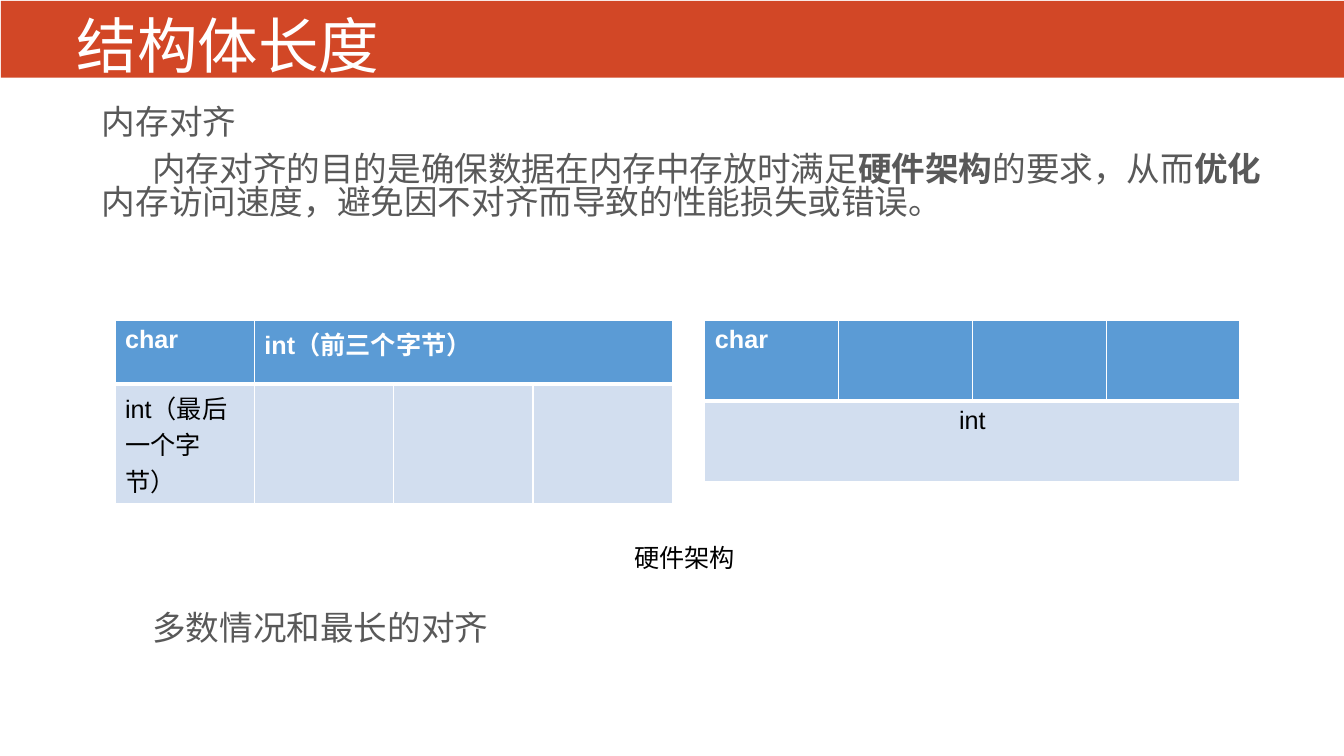
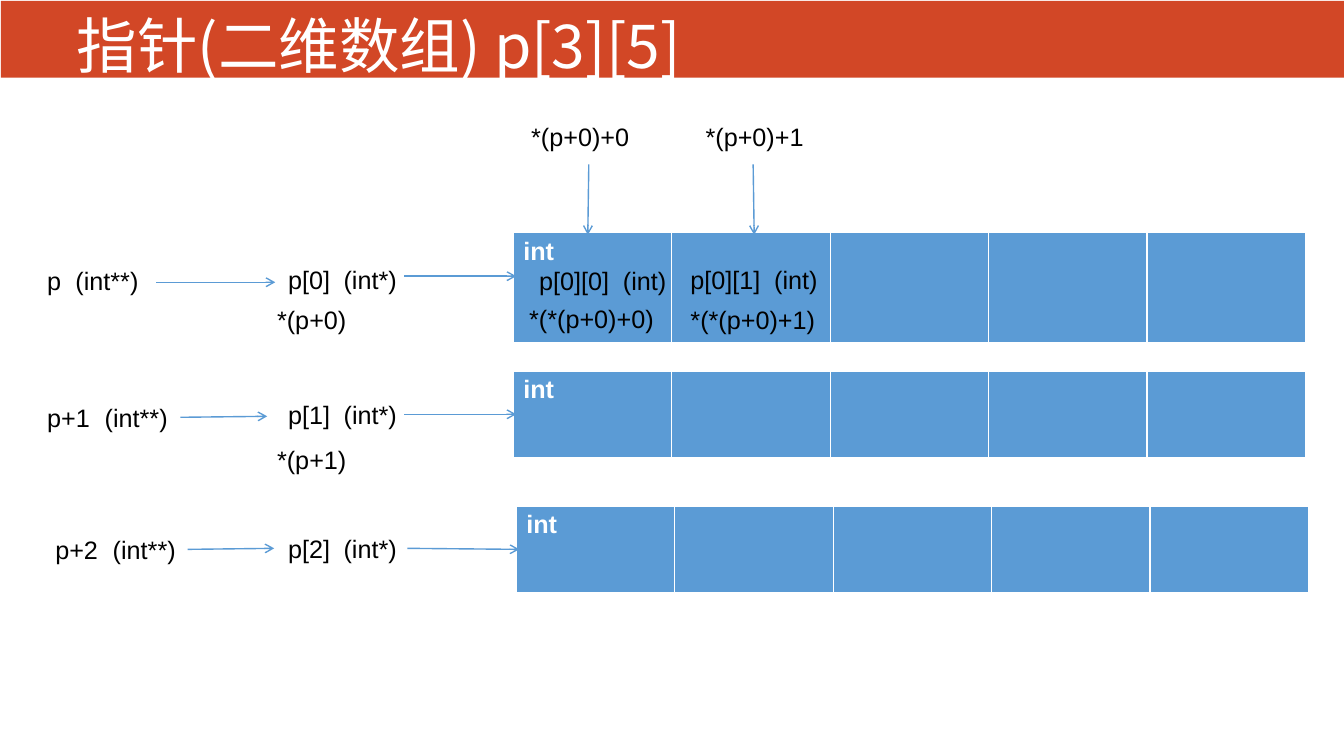
from lxml.etree import SubElement
from pptx import Presentation
from pptx.dml.color import RGBColor
from pptx.enum.shapes import MSO_CONNECTOR, MSO_SHAPE
from pptx.enum.text import MSO_ANCHOR, MSO_AUTO_SIZE, PP_ALIGN
from pptx.oxml.ns import qn
from pptx.util import Inches, Pt

COLORS = {"band": "D24726", "white": "FFFFFF", "black": "000000",
          "gray": "595959", "blue": "5B9BD5", "pale": "D2DEEF"}
CJK_FONT = "Noto Sans CJK SC"

ALIGNMENT_TITLE = "结构体长度"
# Each paragraph: first-line indent, space before, runs of (text, bold)
ALIGNMENT_BODY = [
    (0, 0, [("内存对齐", False)]),
    (0.5, 5, [("内存对齐的目的是确保数据在内存中存放时满足", False),
              ("硬件架构", True), ("的要求，从而", False), ("优化", True),
              ("内存访问速度，避免因不对齐而导致的性能损失或错误。", False)]),
    (0.5, 276, [("多数情况和最长的对齐", False)]),
]
# Cells are (text, columns spanned)
MEMORY_TABLES = [
    {"place": (1.14, 3.18, 5.53), "heights": [0.63, 0.96],
     "rows": [[("char", 1), ("int（前三个字节）", 3)],
              [("int（最后一个字节）", 1), ("", 1), ("", 1), ("", 1)]]},
    {"place": (6.99, 3.18, 5.31), "heights": [0.8, 0.8],
     "rows": [[("char", 1), ("", 1), ("", 1), ("", 1)], [("int", 4)]]},
]
HARDWARE_LABEL = ("硬件架构", 6.19, 5.33, 1.34)

POINTER_TITLE = "指针(二维数组) p[3][5]"
ARRAY_ROWS = [(5.09, 2.31, 1.1), (5.09, 3.68, 0.87), (5.12, 5.02, 0.87)]
ARRAY_WIDTH = 7.86
ARRAY_CELLS = [("int", 1)] + [("", 1)] * 4
# Text, left, top, width; a tab separates expression and type
POINTER_LABELS = [
    ("p\t(int**)", 0.37, 2.58, 4.44),
    ("p+1\t(int**)", 0.37, 3.94, 4.44),
    ("p+2\t(int**)", 0.45, 5.25, 4.44),
    ("p[0]\t(int*)", 2.76, 2.57, 4.44),
    ("p[1]\t(int*)", 2.76, 3.91, 5.08),
    ("p[2]\t(int*)", 2.76, 5.24, 5.1),
    ("*(p+0)", 2.65, 2.97, 4.44),
    ("*(p+1)", 2.65, 4.36, 4.44),
    ("*(p+0)+0", 5.17, 1.15, 4.44),
    ("*(p+0)+1", 6.9, 1.15, 4.44),
    ("p[0][0]\t(int)", 5.25, 2.58, 4.6),
    ("p[0][1]\t(int)", 6.75, 2.57, 4.6),
    ("*(*(p+0)+0)", 5.15, 2.96, 4.44),
    ("*(*(p+0)+1)", 6.75, 2.97, 4.44),
]
# Tab stop by length of the expression before the tab
TYPE_STOPS = {1: 0.28, 3: 0.57, 4: 0.55, 7: 0.83}
ARROWS = [
    (1.55, 2.8, 2.73, 2.8), (1.79, 4.14, 2.65, 4.13), (1.86, 5.45, 2.72, 5.44),
    (4.01, 2.74, 5.12, 2.74), (4.01, 4.11, 5.12, 4.11), (4.04, 5.44, 5.15, 5.45),
    (5.84, 1.63, 5.83, 2.33), (7.47, 1.63, 7.48, 2.33),
]


def rgb(name):
    return RGBColor.from_string(COLORS[name])


def place(shape, left, top, width, height):
    shape.left, shape.top = Inches(left), Inches(top)
    shape.width, shape.height = Inches(width), Inches(height)


def add_text(para, text, size=18, color="black", bold=False, face="Arial"):
    span = para.add_run()
    span.text = text
    span.font.size, span.font.bold, span.font.name = Pt(size), bold, face
    span.font.color.rgb = rgb(color)
    SubElement(span.font._element, qn("a:ea"), typeface=CJK_FONT)


def style_master(deck):
    """Put the title band and the title's place on the master."""
    master = deck.slide_master
    title = next(item for item in master.placeholders if item.placeholder_format.idx == 0)
    place(title, 0.66, 0.01, 11.76, 0.8)
    frame = title.text_frame
    frame.vertical_anchor = MSO_ANCHOR.BOTTOM
    frame.margin_top = frame.margin_bottom = 0
    return master


def add_band(slide, master):
    """Draw the band, then hand it to the master so every slide shows it."""
    band = slide.shapes.add_shape(MSO_SHAPE.RECTANGLE, Inches(0.01), Inches(0.01),
                                  Inches(13.33), Inches(0.76))
    band.shadow.inherit = False
    band.fill.solid()
    band.fill.fore_color.rgb = rgb("band")
    band.line.fill.background()
    master.shapes.element.insert(2, band.element)


def add_slide(deck, layout, title):
    slide = deck.slides.add_slide(deck.slide_layouts.get_by_name(layout))
    para = slide.shapes.title.text_frame.paragraphs[0]
    para.alignment, para.line_spacing = PP_ALIGN.LEFT, 0.9
    add_text(para, title, size=43.2, color="white", face=CJK_FONT)
    return slide


def add_label(slide, text, left, top, width):
    box = slide.shapes.add_textbox(Inches(left), Inches(top), Inches(width), Inches(0.4))
    frame = box.text_frame
    frame.word_wrap = True
    frame.auto_size = MSO_AUTO_SIZE.SHAPE_TO_FIT_TEXT
    para = frame.paragraphs[0]
    expression, tab, _ = text.partition("\t")
    if tab:
        stops = SubElement(para._p.get_or_add_pPr(), qn("a:tabLst"))
        SubElement(stops, qn("a:tab"), pos=str(Inches(TYPE_STOPS[len(expression)])), algn="l")
    add_text(para, text)


def add_arrow(slide, *ends):
    arrow = slide.shapes.add_connector(MSO_CONNECTOR.STRAIGHT, *map(Inches, ends))
    arrow.line.color.rgb = rgb("blue")
    arrow.line.width = Pt(1)
    SubElement(arrow.line._get_or_add_ln(), qn("a:tailEnd"), type="arrow")
    SubElement(arrow.element.spPr, qn("a:effectLst"))


def style_cell(cell, fill, bottom_width):
    cell.fill.solid()
    cell.fill.fore_color.rgb = rgb(fill)
    properties = cell._tc.get_or_add_tcPr()
    for index, side in enumerate(("lnL", "lnR", "lnT", "lnB")):
        width = bottom_width if side == "lnB" else 1
        line = SubElement(properties, qn(f"a:{side}"), w=str(Pt(width)))
        paint = SubElement(line, qn("a:solidFill"))
        SubElement(paint, qn("a:srgbClr"), val=COLORS["white"])
        properties.insert(index, line)


def add_memory_table(slide, left, top, width, heights, rows):
    """Draw a blue header row and, below it, pale rows."""
    columns = sum(span for _, span in rows[0])
    table = slide.shapes.add_table(len(rows), columns, Inches(left), Inches(top),
                                   Inches(width), Inches(sum(heights))).table
    for column in table.columns:
        column.width = Inches(width / columns)
    for row, (height, cells) in enumerate(zip(heights, rows)):
        table.rows[row].height = Inches(height)
        header = row == 0
        for column in range(columns):
            style_cell(table.cell(row, column), "blue" if header else "pale",
                       3 if header else 1)
        column = 0
        for text, span in cells:
            cell = table.cell(row, column)
            if span > 1:
                cell.merge(table.cell(row, column + span - 1))
            if text:
                para = cell.text_frame.paragraphs[0]
                if span == columns:
                    para.alignment = PP_ALIGN.CENTER
                add_text(para, text, color="white" if header else "black", bold=header)
            column += span


def fill_body(body):
    place(body, 0.41, 1.02, 12.51, 6.06)
    frame = body.text_frame
    frame.auto_size = MSO_AUTO_SIZE.NONE
    for index, (indent, before, runs) in enumerate(ALIGNMENT_BODY):
        para = frame.add_paragraph() if index else frame.paragraphs[0]
        properties = para._p.get_or_add_pPr()
        properties.set("marL", str(Inches(0.5)))
        properties.set("indent", str(Inches(indent)))
        SubElement(properties, qn("a:buNone"))
        para.line_spacing = 0.82
        para.space_before, para.space_after = Pt(before), Pt(5)
        for text, bold in runs:
            add_text(para, text, size=24, color="gray", bold=bold, face=CJK_FONT)


def build_alignment(deck):
    slide = add_slide(deck, "Title and Content", ALIGNMENT_TITLE)
    fill_body(slide.placeholders[1])
    for table in MEMORY_TABLES:
        add_memory_table(slide, *table["place"], table["heights"], table["rows"])
    add_label(slide, *HARDWARE_LABEL)
    return slide


def build_pointers(deck):
    slide = add_slide(deck, "Title Only", POINTER_TITLE)
    for left, top, height in ARRAY_ROWS:
        add_memory_table(slide, left, top, ARRAY_WIDTH, [height], [ARRAY_CELLS])
    for label in POINTER_LABELS:
        add_label(slide, *label)
    for arrow in ARROWS:
        add_arrow(slide, *arrow)


def main():
    deck = Presentation()
    deck.slide_width, deck.slide_height = Inches(13.33), Inches(7.5)
    master = style_master(deck)
    add_band(build_alignment(deck), master)
    build_pointers(deck)
    deck.save("out.pptx")


if __name__ == "__main__":
    main()
